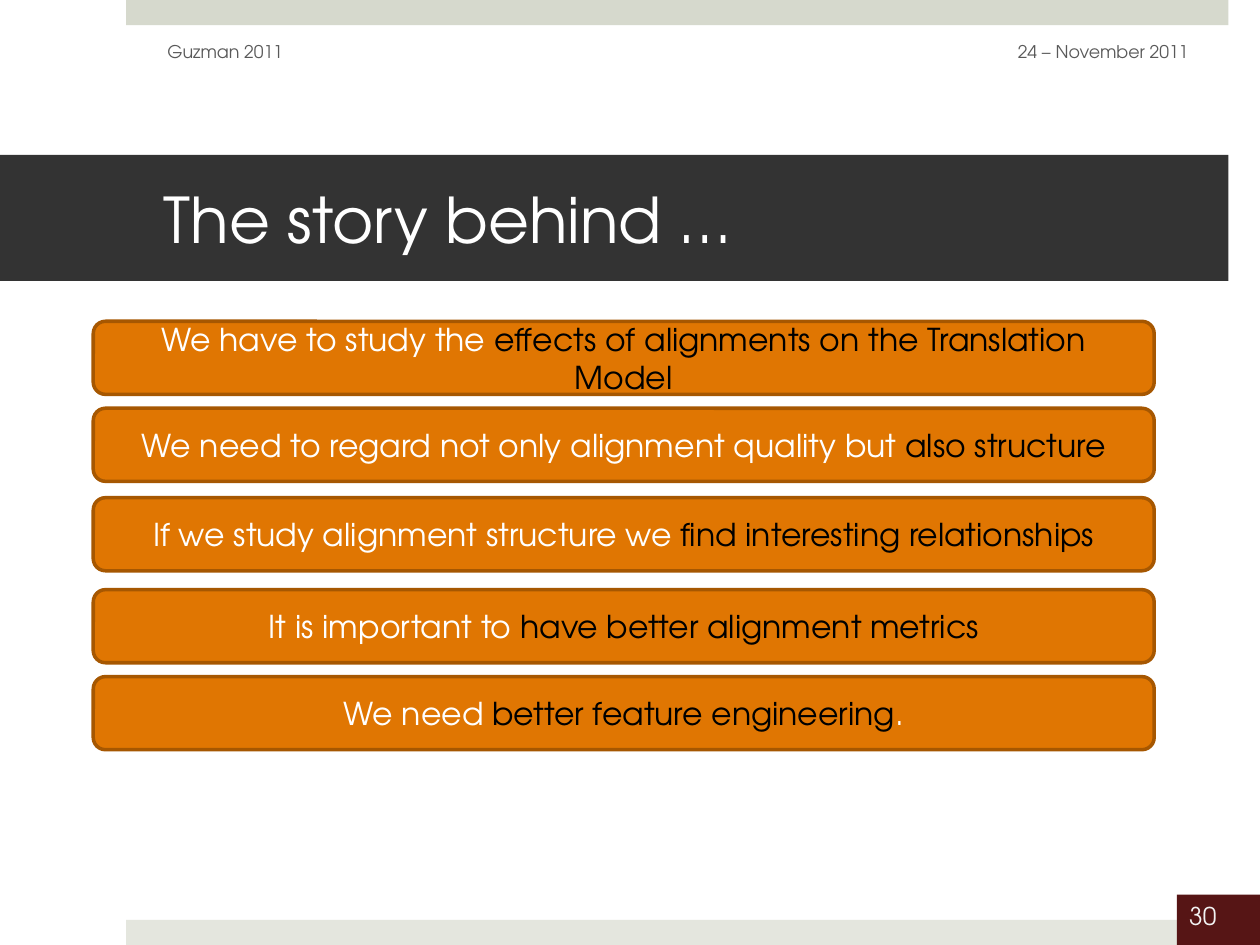
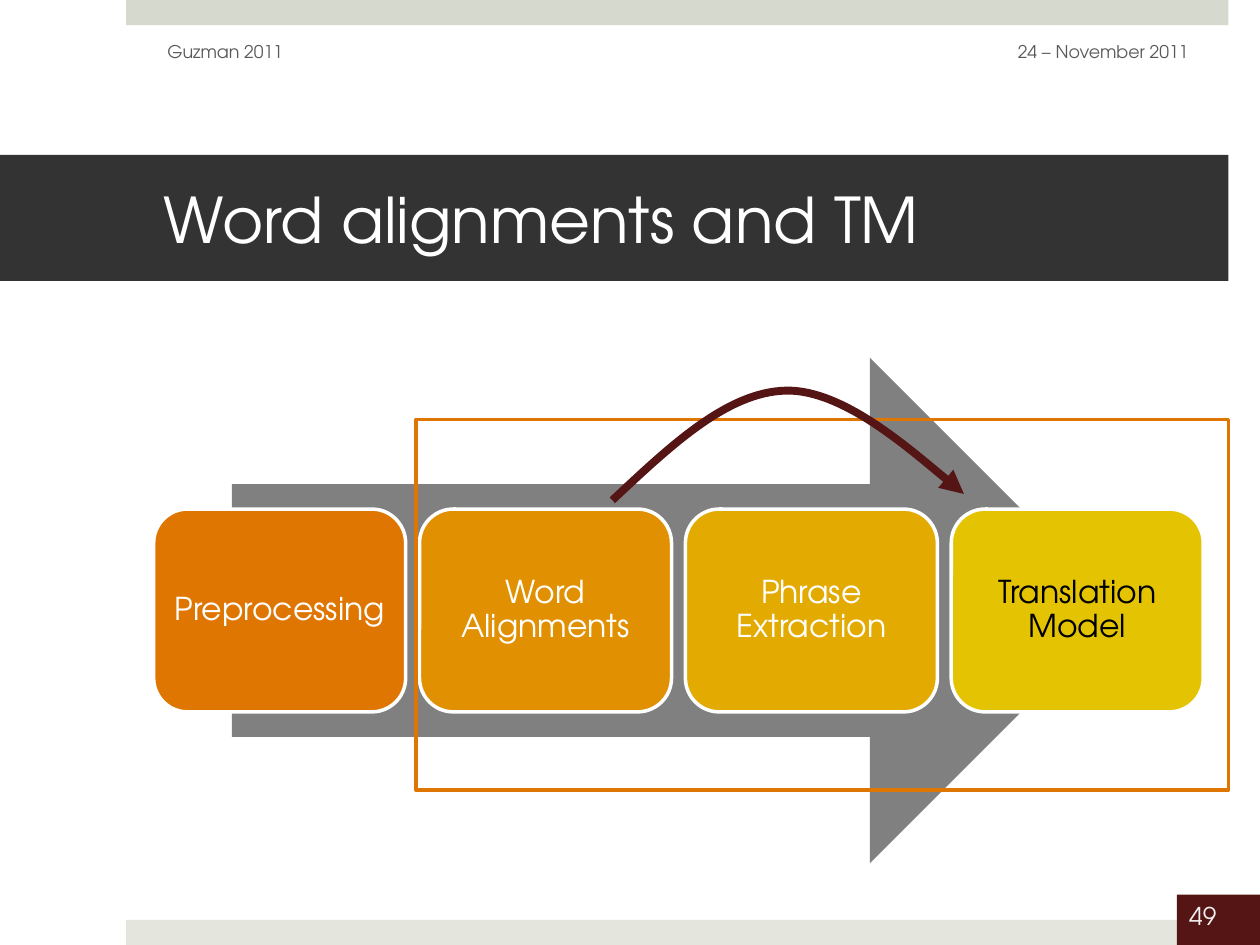
from lxml import etree
from pptx import Presentation
from pptx.dml.color import RGBColor
from pptx.enum.shapes import MSO_SHAPE
from pptx.enum.text import MSO_ANCHOR, PP_ALIGN
from pptx.oxml.ns import qn
from pptx.util import Inches, Pt

RECT, ROUND, ARROW = MSO_SHAPE.RECTANGLE, MSO_SHAPE.ROUNDED_RECTANGLE, MSO_SHAPE.RIGHT_ARROW
TOP, MIDDLE = MSO_ANCHOR.TOP, MSO_ANCHOR.MIDDLE
LEFT, CENTER, RIGHT = PP_ALIGN.LEFT, PP_ALIGN.CENTER, PP_ALIGN.RIGHT

FONT = "TeX Gyre Adventor"
WHITE, BLACK, ORANGE, MAROON = "FFFFFF", "000000", "E07602", "561515"
DEFAULT_INSETS = (0.1, 0.05, 0.1, 0.05)


def rgb(color):
    return RGBColor.from_string(color)


class Deck:
    def __init__(self):
        self.prs = Presentation()
        self.prs.slide_width, self.prs.slide_height = Inches(10), Inches(7.5)
        self.s = None

    def slide(self, title, number):
        """Start a slide with the shared bands, title and header."""
        self.s = self.prs.slides.add_slide(self.prs.slide_layouts[6])
        self.shape(RECT, (1, 0, 8.75, 0.2), "D6D9CD")
        self.shape(RECT, (1, 7.3, 8.75, 0.2), "E4E6DE")
        box = self.shape(RECT, (9.34, 7.1, 0.66, 0.4), MAROON)
        self.label(box, [(number, "F2F2F2")], 14, LEFT, TOP)
        band = self.shape(RECT, (0, 1.23, 9.75, 1), "333333")
        self.label(band, [(title, WHITE)], 36, LEFT, insets=(1.3, 0.05, 0.3, 0.05))
        self.text((7.2, 0.21, 2.33, 0.4), "24 – November 2011", RIGHT)
        self.text((1.23, 0.21, 3.17, 0.4), "Guzman 2011", LEFT)

    def paint(self, sp, fill=None, line=None, width=2):
        sp.shadow.inherit = False
        if fill:
            sp.fill.solid()
            sp.fill.fore_color.rgb = rgb(fill)
        else:
            sp.fill.background()
        if line:
            sp.line.color.rgb = rgb(line)
            sp.line.width = Pt(width)
        else:
            sp.line.fill.background()

    def shape(self, kind, at, fill=None, line=None):
        sp = self.s.shapes.add_shape(kind, *map(Inches, at))
        self.paint(sp, fill, line)
        return sp

    def text(self, at, words, align):
        sp = self.s.shapes.add_textbox(*map(Inches, at))
        self.label(sp, [(words, "595959")], 10, align)

    def label(self, sp, runs, size=18, align=CENTER, anchor=MIDDLE,
              insets=DEFAULT_INSETS, spacing=1.0):
        """Fill a shape with one paragraph of (words, colour) runs."""
        tf = sp.text_frame
        left, top, right, bottom = map(Inches, insets)
        frame = {"word_wrap": True, "vertical_anchor": anchor, "margin_left": left,
                 "margin_top": top, "margin_right": right, "margin_bottom": bottom}
        for name, value in frame.items():
            setattr(tf, name, value)
        p = tf.paragraphs[0]
        p.alignment, p.line_spacing = align, spacing
        for words, color in runs:
            r = p.add_run()
            r.text = words
            for name, value in {"name": FONT, "size": Pt(size)}.items():
                setattr(r.font, name, value)
            r.font.color.rgb = rgb(color)

    def curved_arrow(self, start, points, color, width):
        """Draw cubic curves; every three points are two controls and an end."""
        builder = self.s.shapes.build_freeform(*map(Inches, start), scale=1.0)
        builder.add_line_segments([tuple(map(Inches, pt)) for pt in points], close=False)
        sp = builder.convert_to_shape()
        self.paint(sp, line=color, width=width)
        # Turn each three straight segments into one curve
        segments = list(sp.element.iter(qn("a:lnTo")))
        for i in range(0, len(segments), 3):
            curve = etree.Element(qn("a:cubicBezTo"))
            segments[i].addprevious(curve)
            for segment in segments[i:i + 3]:
                curve.append(segment[0])
                segment.getparent().remove(segment)
        ln = sp.element.spPr.find(qn("a:ln"))
        etree.SubElement(ln, qn("a:tailEnd"), type="triangle")


def story_slide(deck):
    deck.slide("The story behind …", "30")
    statements = [
        (2.55, "We have to study the ", "effects of alignments on the Translation Model", ""),
        (3.24, "We need to regard not only alignment quality but ", "also structure", ""),
        (3.95, "If we study alignment structure we ", "find interesting relationships", ""),
        (4.68, "It is important to ", "have better alignment metrics", ""),
        (5.37, "We need ", "better feature engineering", "."),
    ]
    for top, lead, key, end in statements:
        bar = deck.shape(ROUND, (0.74, top, 8.42, 0.58), ORANGE, "A65701")
        runs = [(lead, WHITE), (key, BLACK), (end, WHITE)]
        deck.label(bar, [run for run in runs if run[0]])


def pipeline_slide(deck):
    deck.slide("Word alignments and TM", "49")
    deck.shape(ARROW, (1.84, 2.84, 7.07, 4.01), "808080")
    # Pipeline steps
    steps = [
        ("Preprocessing", ORANGE, WHITE),
        ("Word Alignments", "E19002", WHITE),
        ("Phrase Extraction", "E3AA02", WHITE),
        ("Translation Model", "E4C402", BLACK),
    ]
    first_left, gap, width = 1.22, 0.11, 2
    for i, (name, fill, color) in enumerate(steps):
        left = first_left + i * (width + gap)
        step = deck.shape(ROUND, (left, 4.04, width, 1.61), fill, WHITE)
        deck.label(step, [(name, color)], insets=(0.07,) * 4, spacing=0.9)
    # Focus frame and the link from alignments to the model
    deck.shape(RECT, (3.3, 3.33, 6.45, 2.94), line=ORANGE)
    deck.curved_arrow((4.86, 3.97), [(5.32, 3.54), (5.77, 3.11), (6.24, 3.1),
                                     (6.7, 3.09), (7.65, 3.92), (7.65, 3.92)], MAROON, 4.5)


def main():
    deck = Deck()
    story_slide(deck)
    pipeline_slide(deck)
    deck.prs.save("out.pptx")


if __name__ == "__main__":
    main()
